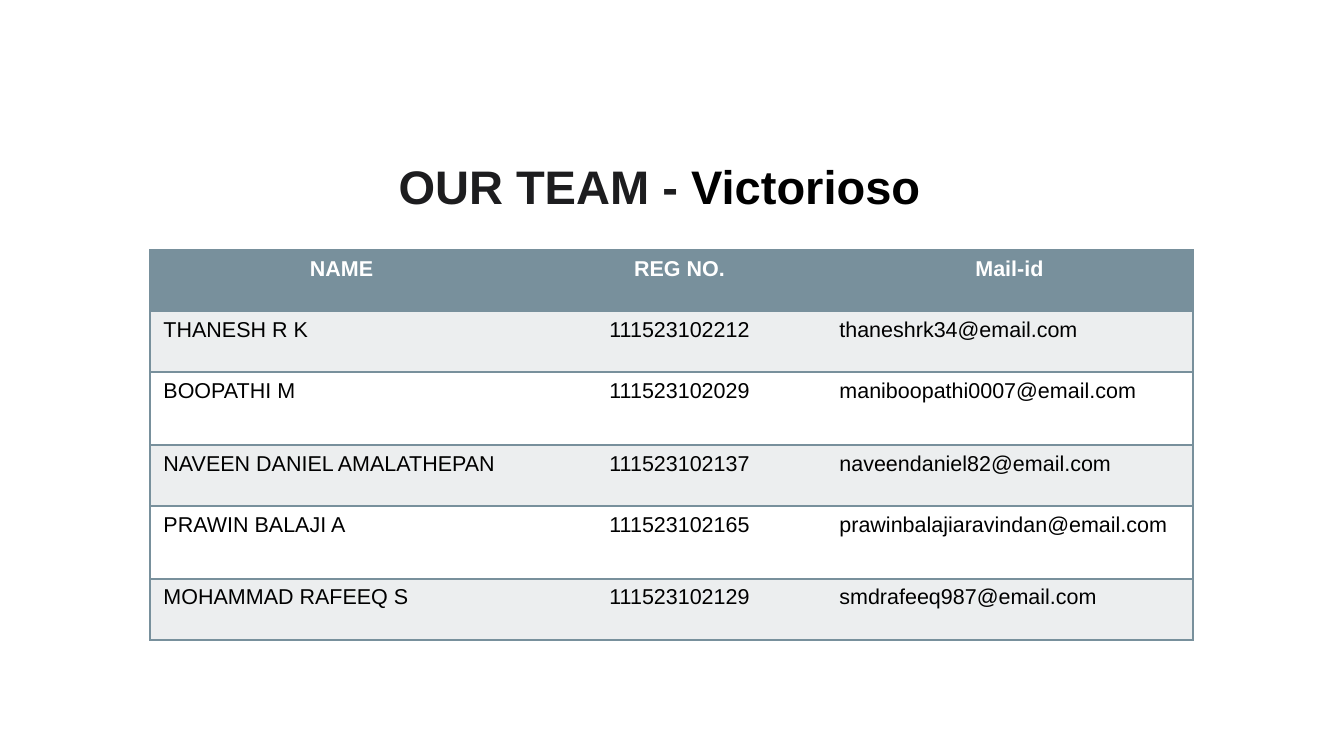
from lxml import etree
from pptx import Presentation
from pptx import util as u
from pptx.dml.color import RGBColor
from pptx.enum import text
from pptx.oxml.ns import qn

PX = u.Inches(10) / 1344
FONT = "Arial"
BLACK = RGBColor(0x00, 0x00, 0x00)
CHARCOAL = RGBColor(0x1D, 0x1D, 0x1F)
WHITE = RGBColor(0xFF, 0xFF, 0xFF)
SLATE = RGBColor(0x78, 0x90, 0x9C)
PALE = RGBColor(0xEC, 0xEE, 0xEF)

COLUMN_WIDTHS = (383, 293, 367)
ROW_HEIGHTS = (61, 61, 73, 61, 73, 61)
TEAM = (
    ("NAME", "REG NO.", "Mail-id"),
    ("THANESH R K", "111523102212", "thaneshrk34@email.com"),
    ("BOOPATHI M", "111523102029", "maniboopathi0007@email.com"),
    ("NAVEEN DANIEL AMALATHEPAN", "111523102137", "naveendaniel82@email.com"),
    ("PRAWIN BALAJI A", "111523102165", "prawinbalajiaravindan@email.com"),
    ("MOHAMMAD RAFEEQ S", "111523102129", "smdrafeeq987@email.com"),
)


def px(length):
    """Turn a length in px into EMU."""
    return u.Emu(round(length * PX))


def set_attributes(target, values):
    """Set every attribute named in a dict of format values."""
    for name, value in values.items():
        setattr(target, name, value)


def add_run(paragraph, words, size, color, bold):
    """Append a formatted run to a paragraph."""
    run = paragraph.add_run()
    run.text = words
    set_attributes(run.font, {"name": FONT, "size": u.Pt(size), "bold": bold})
    run.font.color.rgb = color


def add_title(slide, left, top, width, height, runs):
    """Add the centred two-colour heading."""
    shape = slide.shapes.add_textbox(px(left), px(top), px(width), px(height))
    margins = {f"margin_{side}": u.Inches(0.1) for side in ("left", "top", "right", "bottom")}
    set_attributes(shape.text_frame, {
        **margins, "word_wrap": True, "vertical_anchor": text.MSO_ANCHOR.TOP})
    paragraph = shape.text_frame.paragraphs[0]
    set_attributes(paragraph, {"alignment": text.PP_ALIGN.CENTER, "line_spacing": 1.2})
    for words, color in runs:
        add_run(paragraph, words, 25.2, color, True)


def set_borders(cell, visible_sides):
    """Draw the visible sides of a cell and clear the others."""
    properties = cell._tc.get_or_add_tcPr()
    for index, side in enumerate("LRTB"):
        line = etree.Element(qn(f"a:ln{side}"), w=str(u.Pt(1)))
        if side in visible_sides:
            fill = etree.SubElement(line, qn("a:solidFill"))
            etree.SubElement(fill, qn("a:srgbClr"), val=str(SLATE))
        else:
            etree.SubElement(line, qn("a:noFill"))
        properties.insert(index, line)


def fill_cell(cell, words, row, column):
    """Write and format one cell by its place in the table."""
    header = row == 0
    cell.fill.solid()
    cell.fill.fore_color.rgb = SLATE if header else PALE if row % 2 else WHITE
    paragraph = cell.text_frame.paragraphs[0]
    centred = header or column == 1
    paragraph.alignment = text.PP_ALIGN.CENTER if centred else text.PP_ALIGN.LEFT
    add_run(paragraph, words, 11.5, WHITE if header else BLACK, header)
    set_borders(cell, "TB" + {0: "L", len(COLUMN_WIDTHS) - 1: "R"}.get(column, ""))


def add_team_table(slide, left, top):
    """Add the table of team members."""
    frame = slide.shapes.add_table(
        len(TEAM), len(COLUMN_WIDTHS), px(left), px(top),
        px(sum(COLUMN_WIDTHS)), px(sum(ROW_HEIGHTS)))
    table = frame.table
    set_attributes(table, {"first_row": False, "horz_banding": False})
    for column, width in zip(table.columns, COLUMN_WIDTHS):
        column.width = px(width)
    for row, height in zip(table.rows, ROW_HEIGHTS):
        row.height = px(height)
    for row, member in enumerate(TEAM):
        for column, words in enumerate(member):
            fill_cell(table.cell(row, column), words, row, column)


def main():
    """Build and save the team slide."""
    presentation = Presentation()
    set_attributes(presentation, {"slide_width": px(1344), "slide_height": px(756)})
    slide = presentation.slides.add_slide(presentation.slide_layouts[6])
    add_title(slide, 138, 133, 1056, 71, (("OUR TEAM - ", CHARCOAL), ("Victorioso ", BLACK)))
    add_team_table(slide, 150, 250)
    presentation.save("out.pptx")


if __name__ == "__main__":
    main()
